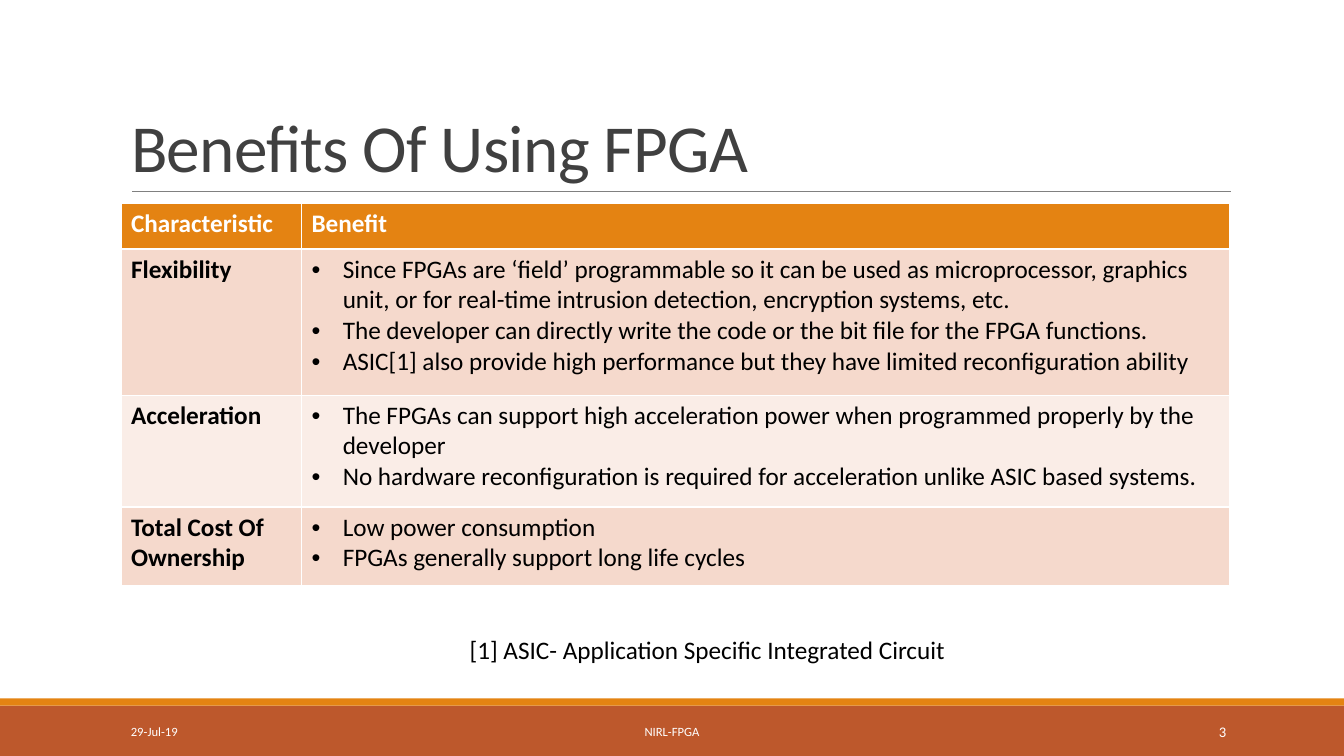
from lxml import etree
from pptx import Presentation
from pptx import util as u
from pptx.dml.color import RGBColor
from pptx.enum import shapes, text
from pptx.oxml.ns import qn

TITLE = "Benefits Of Using FPGA"
HEADINGS = ("Characteristic", "Benefit")
BENEFITS = [
    ("Flexibility", [
        "Since FPGAs are ‘field’ programmable so it can be used as microprocessor, graphics "
        "unit, or for real-time intrusion detection, encryption systems, etc.",
        "The developer can directly write the code or the bit file for the FPGA functions.",
        "ASIC[1] also provide high performance but they have limited reconfiguration ability",
    ]),
    ("Acceleration", [
        "The FPGAs can support high acceleration power when programmed properly by the developer",
        "No hardware reconfiguration is required for acceleration unlike ASIC based systems.",
    ]),
    ("Total Cost Of Ownership", [
        "Low power consumption",
        "FPGAs generally support long life cycles",
    ]),
]
FOOTNOTE = "[1] ASIC- Application Specific Integrated Circuit"
LEFT, CENTER, RIGHT = text.PP_ALIGN.LEFT, text.PP_ALIGN.CENTER, text.PP_ALIGN.RIGHT
# wording, left, width, size, alignment
FOOTER = [
    ("29-Jul-19", 1.2, 2.7, 9, LEFT),
    ("NIRL-FPGA", 4.03, 5.27, 9, CENTER),
    ("3", 10.83, 1.43, 10.5, RIGHT),
]

FONT = "Calibri"
ORANGE = RGBColor(0xE4, 0x83, 0x12)
RUST = RGBColor(0xBD, 0x58, 0x2C)
ROW_TINTS = (RGBColor(0xF5, 0xD9, 0xCC), RGBColor(0xFA, 0xED, 0xE7))
RULE_GRAY = RGBColor(0x80, 0x80, 0x80)
TITLE_GRAY = RGBColor(0x40, 0x40, 0x40)
WHITE = RGBColor(0xFF, 0xFF, 0xFF)
BLACK = RGBColor(0, 0, 0)

WIDTH, HEIGHT = 13.33, 7.5
MARGIN, CONTENT_WIDTH = 1.2, 11
BAND_TOP, STRIPE = 7, 0.07
TABLE_TOP = 2.02
COLUMNS = (1.79, 9.21)
ROWS = (0.45, 1.45, 1.11, 0.78)
BULLET_INDENT = u.Inches(0.31)


def box(left, top, width, height):
    return [u.Inches(length) for length in (left, top, width, height)]


def write(paragraph, wording, size, color, bold=False, align=LEFT):
    paragraph.alignment = align
    run = paragraph.add_run()
    run.text = wording
    run.font.name = FONT
    run.font.size = u.Pt(size)
    run.font.bold = bold
    run.font.color.rgb = color
    return run


def add_bullet(paragraph):
    props = paragraph._p.get_or_add_pPr()
    props.set("marL", str(BULLET_INDENT))
    props.set("indent", str(-BULLET_INDENT))
    etree.SubElement(props, qn("a:buFont")).set("typeface", "Arial")
    etree.SubElement(props, qn("a:buChar")).set("char", "•")


def add_band(slide, top, height, color):
    band = slide.shapes.add_shape(shapes.MSO_SHAPE.RECTANGLE, *box(0, top, WIDTH, height))
    band.shadow.inherit = False
    band.fill.solid()
    band.fill.fore_color.rgb = color
    band.line.fill.background()


def add_rule(slide):
    rule = slide.shapes.add_connector(
        shapes.MSO_CONNECTOR.STRAIGHT, *box(1.31, 1.9, 12.21, 1.9))
    rule.line.color.rgb = RULE_GRAY
    rule.line.width = u.Pt(0.5)
    etree.SubElement(rule._element.spPr, qn("a:effectLst"))


def add_title(slide):
    title = slide.shapes.title
    title.left, title.top, title.width, title.height = box(MARGIN, 0.31, CONTENT_WIDTH, 1.59)
    frame = title.text_frame
    frame.auto_size = text.MSO_AUTO_SIZE.NONE
    frame.vertical_anchor = text.MSO_ANCHOR.BOTTOM
    heading = frame.paragraphs[0]
    heading.line_spacing = 0.85
    run = write(heading, TITLE, 48, TITLE_GRAY)
    run._r.get_or_add_rPr().set("spc", "-50")


def fill_cell(cell, lines, fill, color, bold, bulleted=False):
    cell.fill.solid()
    cell.fill.fore_color.rgb = fill
    frame = cell.text_frame
    for number, line in enumerate(lines):
        paragraph = frame.add_paragraph() if number else frame.paragraphs[0]
        write(paragraph, line, 18, color, bold)
        if bulleted:
            add_bullet(paragraph)


def add_benefits(slide):
    table = slide.shapes.add_table(
        len(ROWS), len(COLUMNS), *box(MARGIN, TABLE_TOP, CONTENT_WIDTH, sum(ROWS))).table
    for column, width in zip(table.columns, COLUMNS):
        column.width = u.Inches(width)
    for row, height in zip(table.rows, ROWS):
        row.height = u.Inches(height)
    for column, heading in enumerate(HEADINGS):
        fill_cell(table.cell(0, column), [heading], ORANGE, WHITE, True)
    for row, (characteristic, points) in enumerate(BENEFITS, 1):
        tint = ROW_TINTS[(row - 1) % 2]
        fill_cell(table.cell(row, 0), [characteristic], tint, BLACK, True)
        fill_cell(table.cell(row, 1), points, tint, BLACK, False, bulleted=True)


def add_note(slide, wording, place, size, color, align=LEFT, anchor=text.MSO_ANCHOR.MIDDLE):
    frame = slide.shapes.add_textbox(*box(*place)).text_frame
    frame.word_wrap = True
    frame.vertical_anchor = anchor
    write(frame.paragraphs[0], wording, size, color, align=align)


def main():
    deck = Presentation()
    deck.slide_width, deck.slide_height = u.Inches(WIDTH), u.Inches(HEIGHT)
    slide = deck.slides.add_slide(deck.slide_layouts.get_by_name("Title Only"))
    add_band(slide, BAND_TOP, HEIGHT - BAND_TOP, RUST)
    add_band(slide, BAND_TOP - STRIPE, STRIPE, ORANGE)
    add_rule(slide)
    add_title(slide)
    add_benefits(slide)
    for wording, left, width, size, align in FOOTER:
        add_note(slide, wording, (left, 7.06, width, 0.4), size, WHITE, align)
    add_note(slide, FOOTNOTE, (4.56, 6.24, 6.64, 0.4), 18, BLACK, anchor=text.MSO_ANCHOR.TOP)
    deck.save("out.pptx")


if __name__ == "__main__":
    main()
